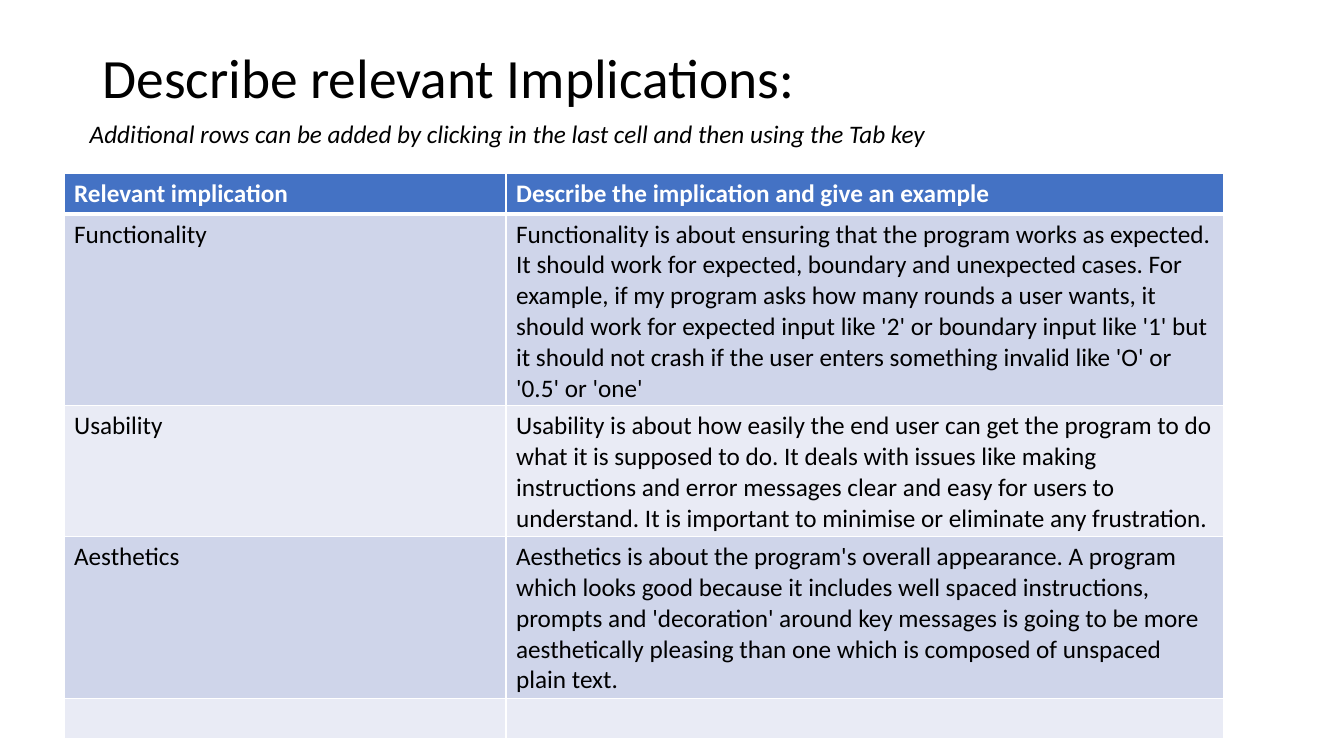
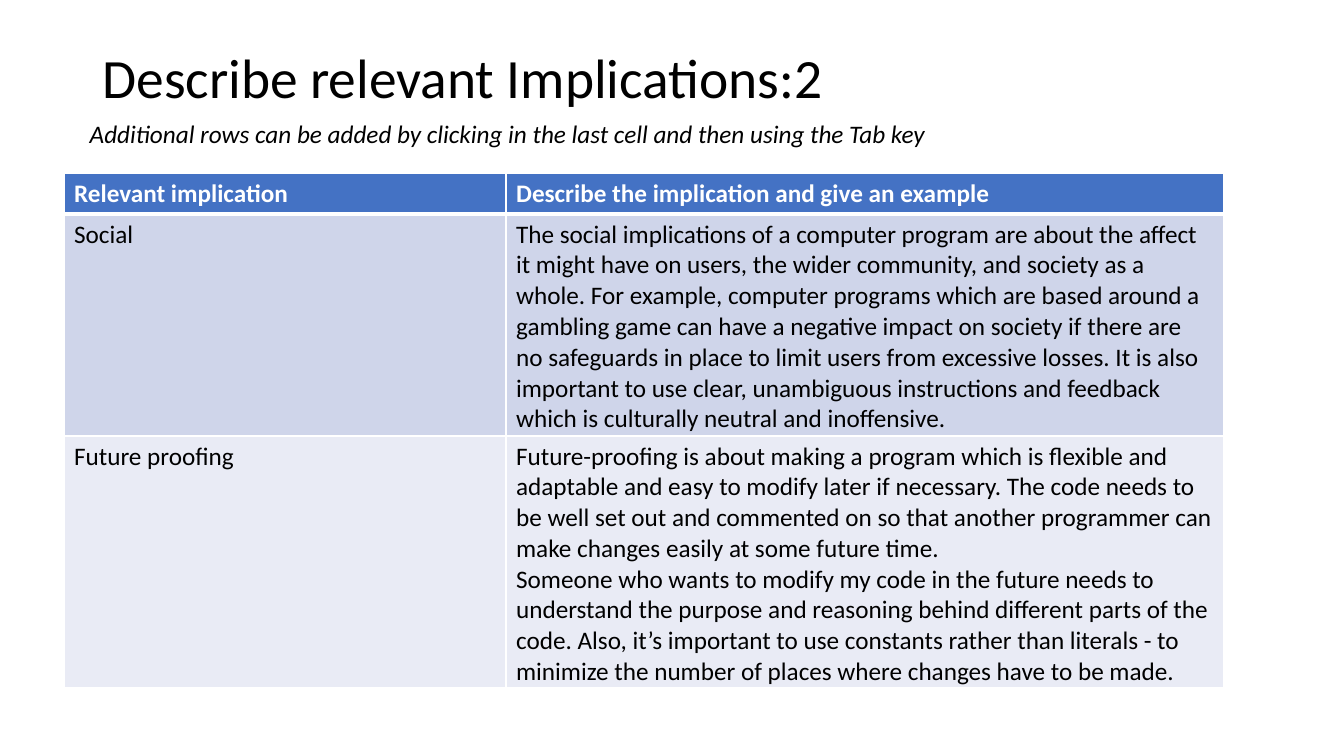
from lxml.etree import SubElement
from pptx import Presentation
from pptx.dml.color import RGBColor
from pptx.enum.text import MSO_ANCHOR as Anchor, MSO_AUTO_SIZE as AutoSize, PP_ALIGN as Align
from pptx.oxml.ns import qn
from pptx.util import Emu, Pt

PX = 9525
TITLE_ONLY = 5
COLORS = {
    "text": "000000",
    "header": "4472C4",
    "odd": "CFD5EA",
    "even": "E9EBF5",
    "white": "FFFFFF",
}
HINT = "Additional rows can be added by clicking in the last cell and then using the Tab key"
HEADER = ("Relevant implication", "Describe the implication and give an example")
HEADER_HEIGHT = 39

SLIDES = [
    ("Describe relevant Implications:", [
        (39, "Functionality",
         "Functionality is about ensuring that the program works as expected. It should work "
         "for expected, boundary and unexpected cases. For example, if my program asks how many "
         "rounds a user wants, it should work for expected input like '2' or boundary input like "
         "'1' but it should not crash if the user enters something invalid like 'O' or '0.5' or "
         "'one'"),
        (39, "Usability",
         "Usability is about how easily the end user can get the program to do what it is "
         "supposed to do. It deals with issues like making instructions and error messages clear "
         "and easy for users to understand. It is important to minimise or eliminate any "
         "frustration."),
        (39, "Aesthetics",
         "Aesthetics is about the program's overall appearance. A program which looks good "
         "because it includes well spaced instructions, prompts and 'decoration' around key "
         "messages is going to be more aesthetically pleasing than one which is composed of "
         "unspaced plain text."),
        (39, "", ""),
    ]),
    ("Describe relevant Implications:2", [
        (208, "Social",
         "The social implications of a computer program are about the affect it might have on "
         "users, the wider community, and society as a whole. For example, computer programs "
         "which are based around a gambling game can have a negative impact on society if there "
         "are no safeguards in place to limit users from excessive losses. It is also important "
         "to use clear, unambiguous instructions and feedback which is culturally neutral and "
         "inoffensive."),
        (152, "Future proofing",
         "Future-proofing is about making a program which is flexible and adaptable and easy to "
         "modify later if necessary. The code needs to be well set out and commented on so that "
         "another programmer can make changes easily at some future time.\n"
         "Someone who wants to modify my code in the future needs to understand the purpose and "
         "reasoning behind different parts of the code. Also, it’s important to use constants "
         "rather than literals - to minimize the number of places where changes have to be made."),
    ]),
]


def px(length):
    return Emu(length * PX)


def set_all(target, values):
    for name, value in values.items():
        setattr(target, name, value)


class Builder:
    font = "Calibri"
    title_size = 39.6
    body_size = 18

    def __init__(self, width, height):
        self.deck = Presentation()
        set_all(self.deck, {"slide_width": px(width), "slide_height": px(height)})
        self.page = None

    def new_page(self):
        self.page = self.deck.slides.add_slide(self.deck.slide_layouts[TITLE_ONLY])

    def fill_text(self, frame, text, size=body_size, color="text", **styles):
        frame.text = text
        for para in frame.paragraphs:
            for span in para.runs:
                set_all(span.font, {"name": self.font, "size": Pt(size), **styles})
                span.font.color.rgb = RGBColor.from_string(COLORS[color])

    def title(self, text, left, top, width, height):
        box = self.page.shapes.title
        set_all(box, {"left": px(left), "top": px(top), "width": px(width), "height": px(height)})
        frame = box.text_frame
        self.fill_text(frame, text, self.title_size)
        set_all(frame, {"vertical_anchor": Anchor.MIDDLE, "auto_size": AutoSize.NONE})
        set_all(frame.paragraphs[0], {"alignment": Align.LEFT, "line_spacing": 1.15})

    def hint(self, text, left, top, width, height):
        box = self.page.shapes.add_textbox(px(left), px(top), px(width), px(height))
        set_all(box.text_frame, {"word_wrap": True, "auto_size": AutoSize.SHAPE_TO_FIT_TEXT})
        self.fill_text(box.text_frame, text, italic=True)

    def borders(self, cell, **widths):
        """Draw white cell edges; widths are points keyed by L, R, T and B."""
        properties = cell._tc.get_or_add_tcPr()
        for side in "LRTB":
            line = SubElement(properties, qn(f"a:ln{side}"), w=str(Pt(widths.get(side, 1))))
            fill = SubElement(line, qn("a:solidFill"))
            SubElement(fill, qn("a:srgbClr"), val=COLORS["white"])

    def cell(self, cell, text, fill, edges, **styles):
        self.borders(cell, **edges)
        cell.fill.solid()
        cell.fill.fore_color.rgb = RGBColor.from_string(COLORS[fill])
        self.fill_text(cell.text_frame, text, **styles)

    def table(self, rows, left, top, widths):
        """Each row is its least height followed by its texts; the first row is the header."""
        height = sum(row[0] for row in rows)
        grid = self.page.shapes.add_table(
            len(rows), len(widths), px(left), px(top), px(sum(widths)), px(height)).table
        for column, width in zip(grid.columns, widths):
            column.width = px(width)
        for index, (row_height, *texts) in enumerate(rows):
            grid.rows[index].height = px(row_height)
            fill, edges, styles = ("odd" if index % 2 else "even"), {}, {"bold": False}
            if index == 0:
                fill, edges, styles = "header", {"B": 3}, {"bold": True, "color": "white"}
            elif index == 1:
                edges = {"T": 3}
            for cell, text in zip(grid.rows[index].cells, texts):
                self.cell(cell, text, fill, edges, **styles)


def main():
    builder = Builder(1280, 720)
    for title, rows in SLIDES:
        builder.new_page()
        builder.title(title, 88, 38, 1104, 59)
        builder.hint(HINT, 76, 108, 1050, 38)
        builder.table([(HEADER_HEIGHT, *HEADER), *rows], 61, 165, (421, 683))
    builder.deck.save("out.pptx")


if __name__ == "__main__":
    main()
